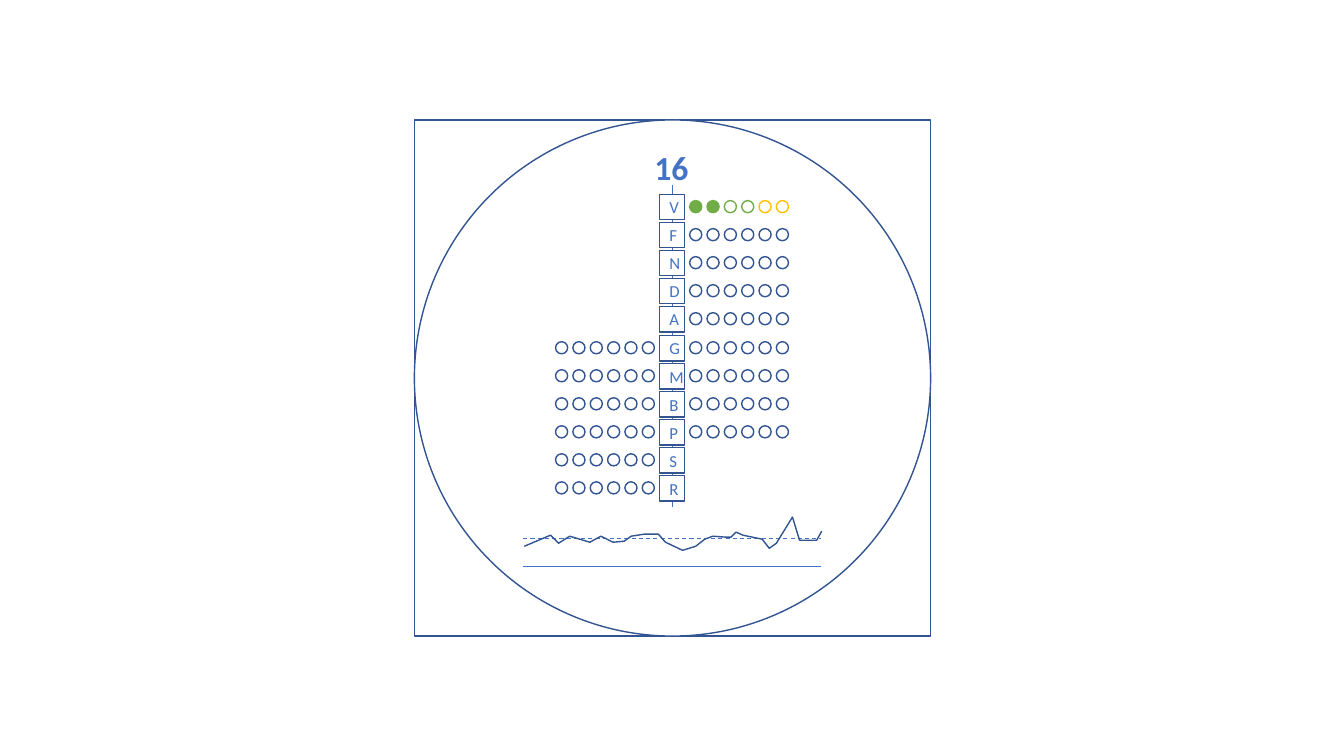
from lxml.etree import SubElement
from pptx import Presentation
from pptx.dml.color import RGBColor
from pptx.enum.dml import MSO_LINE
from pptx.enum.shapes import MSO_CONNECTOR, MSO_SHAPE
from pptx.enum.text import MSO_ANCHOR, MSO_AUTO_SIZE, PP_ALIGN
from pptx.oxml.ns import qn
from pptx.util import Inches, Pt

NAVY, BLUE, WHITE = "325491", "4472C4", "FFFFFF"
GREEN, YELLOW = "70AD47", "FFC000"
ROW_STEP = (4.72 - 3.33) / 5
DOT_STEP = (7.7 - 6.84) / 5
BOX_LEFT, BOX_SIZE = 6.54, 0.25
DOT_SIZE, DOT_DROP = 0.12, 0.06
LEFT_DOTS, RIGHT_DOTS = 5.51, 6.84
PLAIN_DOTS = [(None, NAVY)] * 6
STATUS_DOTS = [(GREEN, GREEN)] * 2 + [(None, GREEN)] * 2 + [(None, YELLOW)] * 2
UPPER_ROWS = "VFNDA"
LOWER_ROWS = "GMBPSR"
TREND_POINTS = [
    (5.2, 5.42), (5.46, 5.31), (5.54, 5.39), (5.65, 5.32), (5.85, 5.38),
    (5.96, 5.32), (6.08, 5.38), (6.19, 5.37), (6.26, 5.32), (6.39, 5.3),
    (6.53, 5.3), (6.6, 5.38), (6.77, 5.46), (6.9, 5.42), (6.99, 5.35),
    (7.07, 5.32), (7.2, 5.33), (7.25, 5.33), (7.3, 5.28), (7.37, 5.31),
    (7.56, 5.35), (7.63, 5.44), (7.7, 5.39), (7.86, 5.13), (7.93, 5.36),
    (8.1, 5.36), (8.15, 5.27),
]


def color(value):
    return RGBColor.from_string(value)


def style_shape(shape, fill, line):
    shape.shadow.inherit = False
    if fill:
        shape.fill.solid()
        shape.fill.fore_color.rgb = color(fill)
    else:
        shape.fill.background()
    shape.line.color.rgb = color(line)
    shape.line.width = Pt(1)


def add_square_shape(slide, kind, left, top, size, fill=WHITE, line=NAVY):
    shape = slide.shapes.add_shape(
        kind, Inches(left), Inches(top), Inches(size), Inches(size))
    style_shape(shape, fill, line)
    return shape


def write_text(shape, text, size, bold=False):
    frame = shape.text_frame
    frame.vertical_anchor = MSO_ANCHOR.MIDDLE
    paragraph = frame.paragraphs[0]
    paragraph.text = text
    paragraph.alignment = PP_ALIGN.CENTER
    paragraph.font.name = "Calibri"
    paragraph.font.size = Pt(size)
    paragraph.font.bold = bold
    paragraph.font.color.rgb = color(BLUE)


def add_line(slide, start, end, dashed=False):
    connector = slide.shapes.add_connector(
        MSO_CONNECTOR.STRAIGHT, *map(Inches, start + end))
    connector.line.color.rgb = color(BLUE)
    connector.line.width = Pt(0.75)
    if dashed:
        connector.line.dash_style = MSO_LINE.DASH
    SubElement(connector._element.spPr, qn("a:effectLst"))


def add_dots(slide, left, row_top, dots):
    for column, (fill, line) in enumerate(dots):
        add_square_shape(slide, MSO_SHAPE.OVAL, left + column * DOT_STEP,
                         row_top + DOT_DROP, DOT_SIZE, fill, line)


def add_rows(slide, letters, first_top):
    for index, letter in enumerate(letters):
        top = first_top + index * ROW_STEP
        box = add_square_shape(
            slide, MSO_SHAPE.RECTANGLE, BOX_LEFT, top, BOX_SIZE)
        write_text(box, letter, 12)
        if letter in LOWER_ROWS:
            add_dots(slide, LEFT_DOTS, top, PLAIN_DOTS)
        if letter not in "SR":
            dots = STATUS_DOTS if letter == "V" else PLAIN_DOTS
            add_dots(slide, RIGHT_DOTS, top, dots)


def add_heading(slide, text):
    box = slide.shapes.add_textbox(
        Inches(6.39), Inches(1.41), Inches(0.54), Inches(0.5))
    box.text_frame.word_wrap = False
    box.text_frame.auto_size = MSO_AUTO_SIZE.SHAPE_TO_FIT_TEXT
    write_text(box, text, 24, bold=True)


def add_trend(slide, points):
    corners = [(Inches(x), Inches(y)) for x, y in points]
    builder = slide.shapes.build_freeform(*corners[0])
    builder.add_line_segments(corners[1:], close=False)
    style_shape(builder.convert_to_shape(), None, NAVY)


def main():
    presentation = Presentation()
    presentation.slide_width = Inches(13.33)
    presentation.slide_height = Inches(7.5)
    slide = presentation.slides.add_slide(presentation.slide_layouts[6])

    for kind in (MSO_SHAPE.RECTANGLE, MSO_SHAPE.OVAL):
        add_square_shape(slide, kind, 4.11, 1.19, 5.12)
    add_line(slide, (6.67, 1.84), (6.67, 5.03))
    add_line(slide, (5.19, 5.62), (8.14, 5.62))
    add_line(slide, (5.19, 5.34), (8.14, 5.34), dashed=True)
    add_rows(slide, UPPER_ROWS, 1.93)
    add_rows(slide, LOWER_ROWS, 3.33)
    add_heading(slide, "16")
    add_trend(slide, TREND_POINTS)
    presentation.save("out.pptx")


if __name__ == "__main__":
    main()
